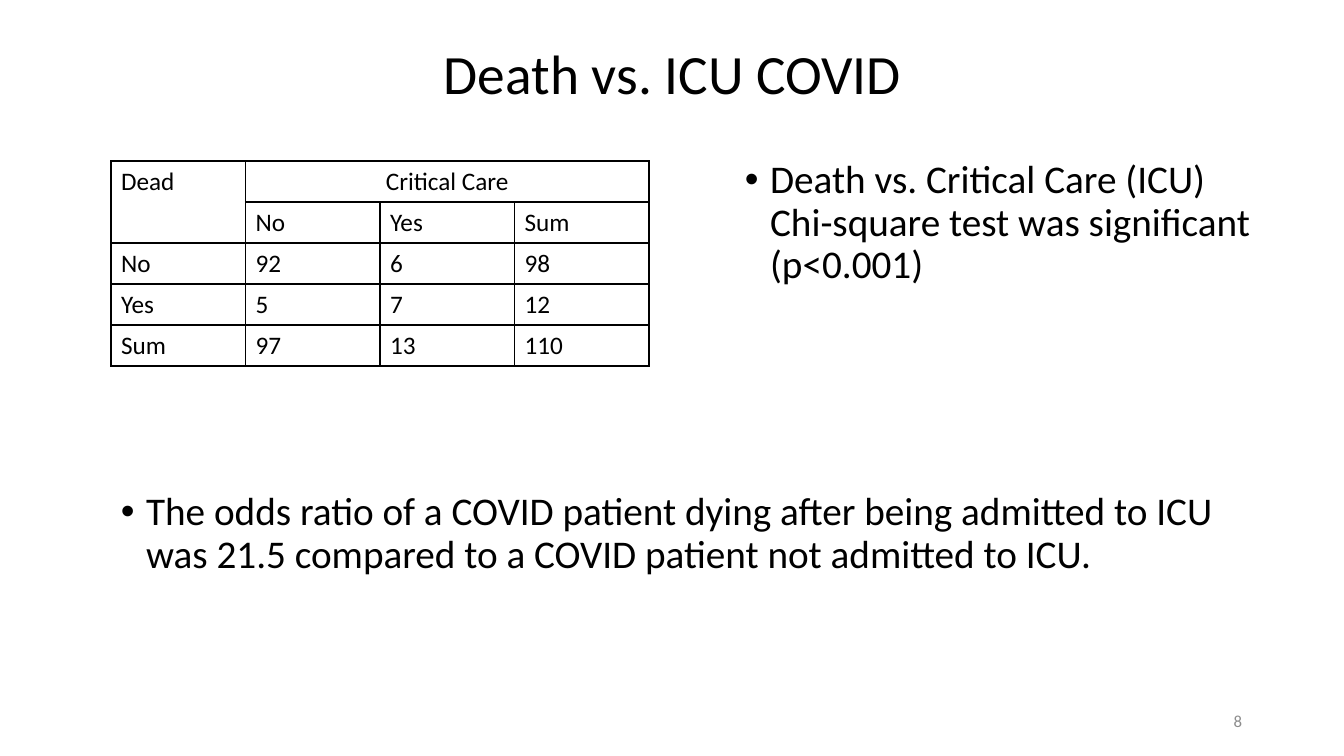
from lxml import etree
from pptx import Presentation
from pptx.dml.color import RGBColor
from pptx.enum.text import MSO_ANCHOR, PP_ALIGN
from pptx.oxml.ns import qn
from pptx.util import Emu, Pt

EMU_PER_PIXEL = 914400 / 100.8
FONT = "Calibri"
BLACK = RGBColor(0x00, 0x00, 0x00)
GRAY = RGBColor(0x8C, 0x8C, 0x8C)
LEFT, CENTER, RIGHT = PP_ALIGN.LEFT, PP_ALIGN.CENTER, PP_ALIGN.RIGHT
TOP, MIDDLE = MSO_ANCHOR.TOP, MSO_ANCHOR.MIDDLE
BORDER_TAGS = ("a:lnL", "a:lnR", "a:lnT", "a:lnB")
BORDER_WIDTH = Pt(1)

DEATH_BY_CARE = [
    ["Dead", "Critical Care", "", ""],
    ["", "No", "Yes", "Sum"],
    ["No", "92", "6", "98"],
    ["Yes", "5", "7", "12"],
    ["Sum", "97", "13", "110"],
]


def px(pixels):
    return Emu(round(pixels * EMU_PER_PIXEL))


def set_attributes(target, values):
    for name, value in values.items():
        setattr(target, name, value)


def write(paragraph, text, size, color=BLACK, **layout):
    set_attributes(paragraph, layout)
    run = paragraph.add_run()
    run.text = text
    set_attributes(run.font, {"name": FONT, "size": Pt(size)})
    run.font.color.rgb = color


def add_text(slide, box, text, size, color=BLACK, anchor=TOP, **layout):
    frame = slide.shapes.add_textbox(*map(px, box)).text_frame
    set_attributes(frame, {"word_wrap": True, "vertical_anchor": anchor})
    paragraph = frame.paragraphs[0]
    write(paragraph, text, size, color, **layout)
    return paragraph


def add_finding(slide, box, text):
    finding = add_text(slide, box, text, 28, alignment=LEFT,
                       line_spacing=0.9, space_before=Pt(10))
    properties = finding._p.get_or_add_pPr()
    properties.set("marL", "228600")
    properties.set("indent", "-228600")
    etree.SubElement(properties, qn("a:buFont"), typeface="Arial")
    etree.SubElement(properties, qn("a:buChar"), char="\u2022")


def add_borders(cell):
    properties = cell._tc.get_or_add_tcPr()
    for position, tag in enumerate(BORDER_TAGS):
        line = etree.Element(qn(tag), w=str(BORDER_WIDTH))
        fill = etree.SubElement(line, qn("a:solidFill"))
        etree.SubElement(fill, qn("a:srgbClr"), val=str(BLACK))
        properties.insert(position, line)


def add_crosstab(slide, box, rows):
    table = slide.shapes.add_table(
        len(rows), len(rows[0]), *map(px, box)).table
    set_attributes(table, {"first_row": False, "horz_banding": False})
    table.cell(0, 0).merge(table.cell(1, 0))
    table.cell(0, 1).merge(table.cell(0, 3))
    for row_index, row in enumerate(rows):
        for column_index, text in enumerate(row):
            cell = table.cell(row_index, column_index)
            cell.fill.background()
            add_borders(cell)
            if text:
                alignment = CENTER if text == "Critical Care" else LEFT
                write(cell.text_frame.paragraphs[0], text, 18,
                      alignment=alignment)


def main():
    presentation = Presentation()
    set_attributes(presentation, {"slide_width": px(1344),
                                  "slide_height": px(756)})
    slide = presentation.slides.add_slide(presentation.slide_layouts[6])
    add_text(slide, (93, 40, 1159, 73), "Death vs. ICU COVID", 39.6,
             anchor=MIDDLE, alignment=CENTER, line_spacing=0.9)
    add_finding(slide, (735, 155, 538, 141),
                "Death vs. Critical Care (ICU) Chi-square test was "
                "significant (p<0.001)")
    add_text(slide, (950, 701, 302, 40), "8", 12, GRAY,
             anchor=MIDDLE, alignment=RIGHT)
    add_crosstab(slide, (111, 161, 538, 205), DEATH_BY_CARE)
    add_finding(slide, (111, 487, 1141, 141),
                "The odds ratio of a COVID patient dying after being admitted "
                "to ICU was 21.5 compared to a COVID patient not admitted "
                "to ICU.")
    presentation.save("out.pptx")


main()
